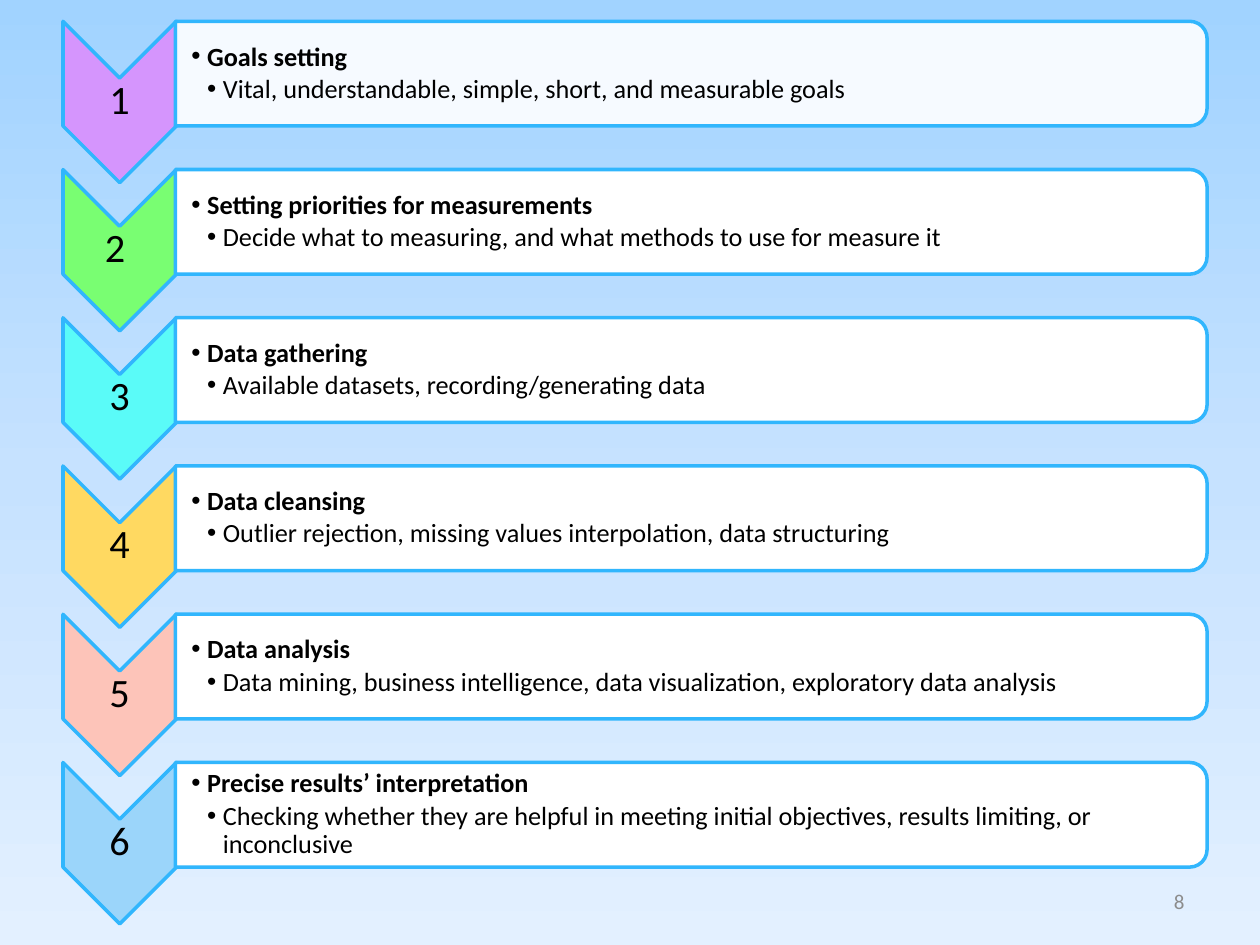
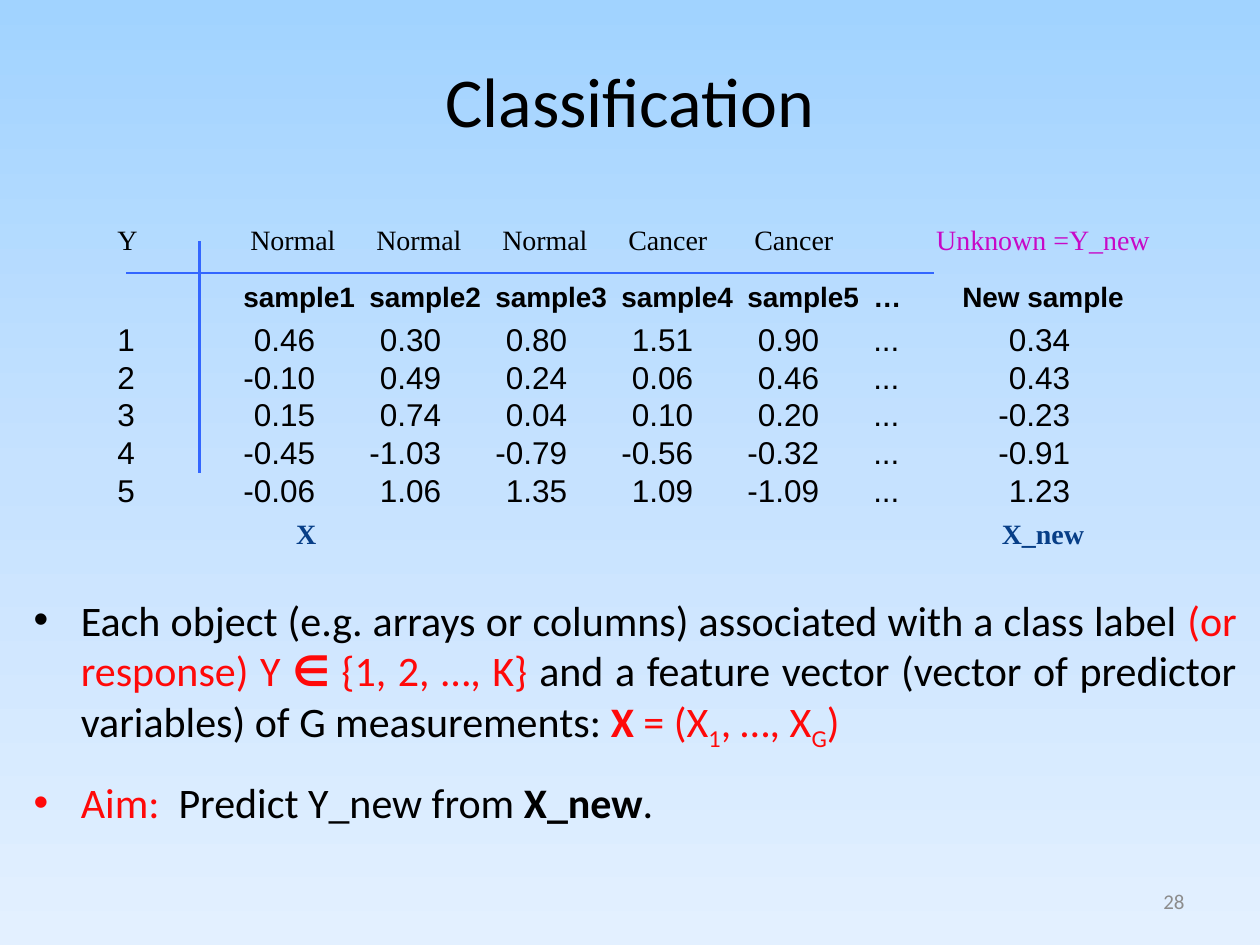
from copy import deepcopy
from lxml.etree import SubElement as Sub
from pptx import Presentation
from pptx.dml.color import RGBColor
from pptx.enum.shapes import MSO_CONNECTOR as Link, MSO_SHAPE as Kind
from pptx.enum.text import MSO_ANCHOR as Anchor, PP_ALIGN as Align
from pptx.oxml.ns import qn
from pptx.util import Pt

BLACK, WHITE, GREY = "000000", "FFFFFF", "8C8C8C"
EDGE, RULE, RED = "31B6FD", "3366FF", "FF0909"
PURPLE, NAVY = "C709C7", "073E87"
SANS, ARIAL, SERIF = "Calibri", "Arial", "Times New Roman"
SKY = ["A1D3FF", "C6E2FF", "E3F0FF"]
PLAIN = "{2D5ABB26-0587-4C30-8999-92F81FD0307C}"  # table style without grid

STEPS = [
    ("1", "D595FD", "Goals setting",
     "Vital, understandable, simple, short, and measurable goals"),
    ("2 ", "79FE72", "Setting priorities for measurements",
     "Decide what to measuring, and what methods to use for measure it"),
    ("3", "5AFBF8", "Data gathering",
     "Available datasets, recording/generating data"),
    ("4", "FFD961", "Data cleansing",
     "Outlier rejection, missing values interpolation, data structuring"),
    ("5", "FDC4B9", "Data analysis",
     "Data mining, business intelligence, data visualization, "
     "exploratory data analysis"),
    ("6", "9BD5FA", "Precise results’ interpretation",
     "Checking whether they are helpful in meeting initial objectives, "
     "results limiting, or inconclusive"),
]

LABELS = ["Y", "Normal", "Normal", "Normal", "Cancer", "Cancer", "",
          "Unknown =Y_new"]
HEADS = ["", "sample1", "sample2", "sample3", "sample4", "sample5", "…",
         "New sample"]
VALUES = [
    ["1", "0.46", "0.30", "0.80", "1.51", "0.90", "...", "0.34"],
    ["2", "-0.10", "0.49", "0.24", "0.06", "0.46", "...", "0.43"],
    ["3", "0.15", "0.74", "0.04", "0.10", "0.20", "...", "-0.23"],
    ["4", "-0.45", "-1.03", "-0.79", "-0.56", "-0.32", "...", "-0.91"],
    ["5", "-0.06", "1.06", "1.35", "1.09", "-1.09", "...", "1.23"],
]
FEET = ["", "X", "", "", "", "", "", "X_new"]


def rgb(code):
    return RGBColor.from_string(code)


def style(font, size, color=BLACK, name=SANS, bold=False):
    font.size, font.name, font.bold = Pt(size), name, bold
    font.color.rgb = rgb(color)


def inset(frame, left, top, right, bottom):
    frame.margin_left, frame.margin_top = Pt(left), Pt(top)
    frame.margin_right, frame.margin_bottom = Pt(right), Pt(bottom)


def indent(para, left, hang, mark=None):
    props = para._p.get_or_add_pPr()
    props.set("marL", str(Pt(left)))
    props.set("indent", str(-Pt(hang)))
    if mark:
        Sub(props, qn("a:buFont"), typeface=ARIAL)
        Sub(props, qn("a:buChar"), char=mark)


def add_box(slide, left, top, width, height, pad):
    box = slide.shapes.add_textbox(Pt(left), Pt(top), Pt(width), Pt(height))
    frame = box.text_frame
    frame.word_wrap = True
    frame.vertical_anchor = Anchor.MIDDLE
    inset(frame, *pad)
    return frame


def add_turned(slide, kind, mid_x, mid_y, width, height, fill):
    """Add a shape turned by 90 degrees around its centre."""
    shape = slide.shapes.add_shape(
        kind, Pt(mid_x - width / 2), Pt(mid_y - height / 2),
        Pt(width), Pt(height))
    shape.rotation = 90
    shape.shadow.inherit = False
    shape.fill.solid()
    shape.fill.fore_color.rgb = rgb(fill)
    shape.line.color.rgb = rgb(EDGE)
    shape.line.width = Pt(2)
    return shape


def add_rule(slide, x1, y1, x2, y2):
    rule = slide.shapes.add_connector(
        Link.STRAIGHT, Pt(x1), Pt(y1), Pt(x2), Pt(y2))
    rule.line.color.rgb = rgb(RULE)
    rule.line.width = Pt(1.5)
    Sub(rule._element.spPr, qn("a:effectLst"))


def add_number(slide, number):
    frame = add_box(slide, 516.5, 500.5, 167.5, 29, (7.2, 3.6, 7.2, 3.6))
    para = frame.paragraphs[0]
    para.text, para.alignment = number, Align.RIGHT
    style(para.font, 12, GREY)


def place(shape, left, top, width, height):
    shape.left, shape.top = Pt(left), Pt(top)
    shape.width, shape.height = Pt(width), Pt(height)


def paint_sky(master):
    fill = master.background.fill
    fill.gradient()
    fill.gradient_angle = 270
    stops = master._element.find(".//" + qn("a:gsLst"))
    stops.append(deepcopy(stops[0]))
    for i, (stop, color) in enumerate(zip(fill.gradient_stops, SKY)):
        stop.color.rgb = rgb(color)
        stop.position = i / 2


def add_step(slide, mid, number, color, head, detail):
    # Arrow with its number
    add_turned(slide, Kind.CHEVRON, 68.4, mid + 16.2, 92.2, 64.8, color)
    frame = add_box(slide, 36, mid + 2, 64.8, 27.5, (1.5, 1.5, 1.5, 1.5))
    para = frame.paragraphs[0]
    para.text, para.alignment = number, Align.CENTER
    para.line_spacing = 0.9
    style(para.font, 23)

    # Panel with heading and detail
    panel = add_turned(slide, Kind.ROUND_2_SAME_RECTANGLE,
                       395, mid, 59.8, 589.5, WHITE)
    frame = add_box(slide, 100.8, mid - 27, 587, 54, (8.6, 0.7, 0.7, 0.7))
    for level, text in enumerate((head, detail)):
        para = frame.add_paragraph() if level else frame.paragraphs[0]
        para.text, para.level = text, level
        indent(para, 9 * (level + 1), 9, "•")
        para.line_spacing, para.space_after = 0.9, Pt(2.25)
        style(para.font, 15, bold=level == 0)
    return panel


def fill_cell(cell, text, align, pad, look):
    cell.fill.background()
    cell.vertical_anchor = Anchor.MIDDLE
    inset(cell, *pad)
    para = cell.text_frame.paragraphs[0]
    para.text, para.alignment = text, align
    style(para.font, *look)


def add_samples(slide):
    rows = [LABELS, HEADS, *VALUES, FEET]
    widths = [72] * 6 + [32, 130]
    heights = [36, 28] + [21.5] * len(VALUES) + [29]
    holder = slide.shapes.add_table(
        len(rows), len(widths), Pt(67), Pt(120),
        Pt(sum(widths)), Pt(sum(heights)))
    table = holder.table
    table.first_row = table.horz_banding = False
    table._tbl.tblPr.find(qn("a:tableStyleId")).text = PLAIN
    for col, width in zip(table.columns, widths):
        col.width = Pt(width)
    last = len(widths) - 1
    for r, (row, height) in enumerate(zip(rows, heights)):
        table.rows[r].height = Pt(height)
        for c, text in enumerate(row):
            align, pad = Align.LEFT, (0, 0, 0, 0)
            if row is LABELS:
                look = (16, PURPLE if c == last else BLACK, SERIF)
                pad = (4 if 0 < c < last else 0, 0, 0, 0)
            elif row is HEADS:
                look = (16, BLACK, ARIAL, True)
            elif row is FEET:
                look = (16, NAVY, SERIF, True)
                align = Align.CENTER
            else:
                look = (18, BLACK, ARIAL)
                if 0 < c < 6 or c == last:
                    align = Align.RIGHT
                    pad = (0, 0, 49.5 if c == last else 31, 0)
            if c == last and align == Align.LEFT:
                align = Align.CENTER
            fill_cell(table.cell(r, c), text, align, pad, look)


def add_point(para, gap, runs):
    """Write one justified list item; runs hold text, colour, bold, base."""
    para.alignment, para.space_before = Align.JUSTIFY, Pt(gap)
    indent(para, 27, 27)
    para.font.size, para.font.name = Pt(24), SANS
    for text, color, bold, base in runs:
        run = para.add_run()
        run.text = text
        run.font.bold, run.font.color.rgb = bold, rgb(color)
        if base:
            run.font._element.set("baseline", str(base * 1000))


def build_steps(deck):
    slide = deck.slides.add_slide(deck.slide_layouts[6])
    add_number(slide, "8")
    for i, step in enumerate(STEPS):
        panel = add_step(slide, 42.1 + 84.7 * i, *step)
        if i == 0:  # the first panel lets the sky through
            tone = panel._element.spPr.find(
                qn("a:solidFill") + "/" + qn("a:srgbClr"))
            Sub(tone, qn("a:alpha"), val="90000")


def build_classes(deck):
    slide = deck.slides.add_slide(deck.slide_layouts[1])
    title, body = slide.placeholders

    # Title
    place(title, 54, 24, 612, 66)
    title.text = "Classification"
    style(title.text_frame.paragraphs[0].font, 40)

    # List
    place(body, 12, 336, 702, 186)
    frame = body.text_frame
    add_point(frame.paragraphs[0], 0, [
        ("Each object (e.g. arrays or columns) associated with a class label ",
         BLACK, False, 0),
        ("(or response) Y ", RED, False, 0),
        ("∈", RED, True, 0),
        (" {1, 2, …, K}", RED, False, 0),
        (" and a feature vector (vector of predictor variables) "
         "of G measurements: ", BLACK, False, 0),
        ("X", RED, True, 0),
        (" = (X", RED, False, 0),
        ("1", RED, False, -25),
        (", …, X", RED, False, 0),
        ("G", RED, False, -25),
        (")", RED, False, 0),
    ])
    add_point(frame.add_paragraph(), 14, [
        ("Aim: ", RED, False, 0),
        (" Predict Y_new from ", BLACK, False, 0),
        ("X_new", BLACK, True, 0),
        (".", BLACK, False, 0),
    ])

    # Samples and their axes
    add_samples(slide)
    add_rule(slide, 72, 156, 534, 156)
    add_rule(slide, 114, 138, 114, 270)
    add_number(slide, "28")


def main():
    deck = Presentation()
    deck.slide_width, deck.slide_height = Pt(720), Pt(540)
    paint_sky(deck.slide_master)
    build_steps(deck)
    build_classes(deck)
    deck.save("out.pptx")


if __name__ == "__main__":
    main()
